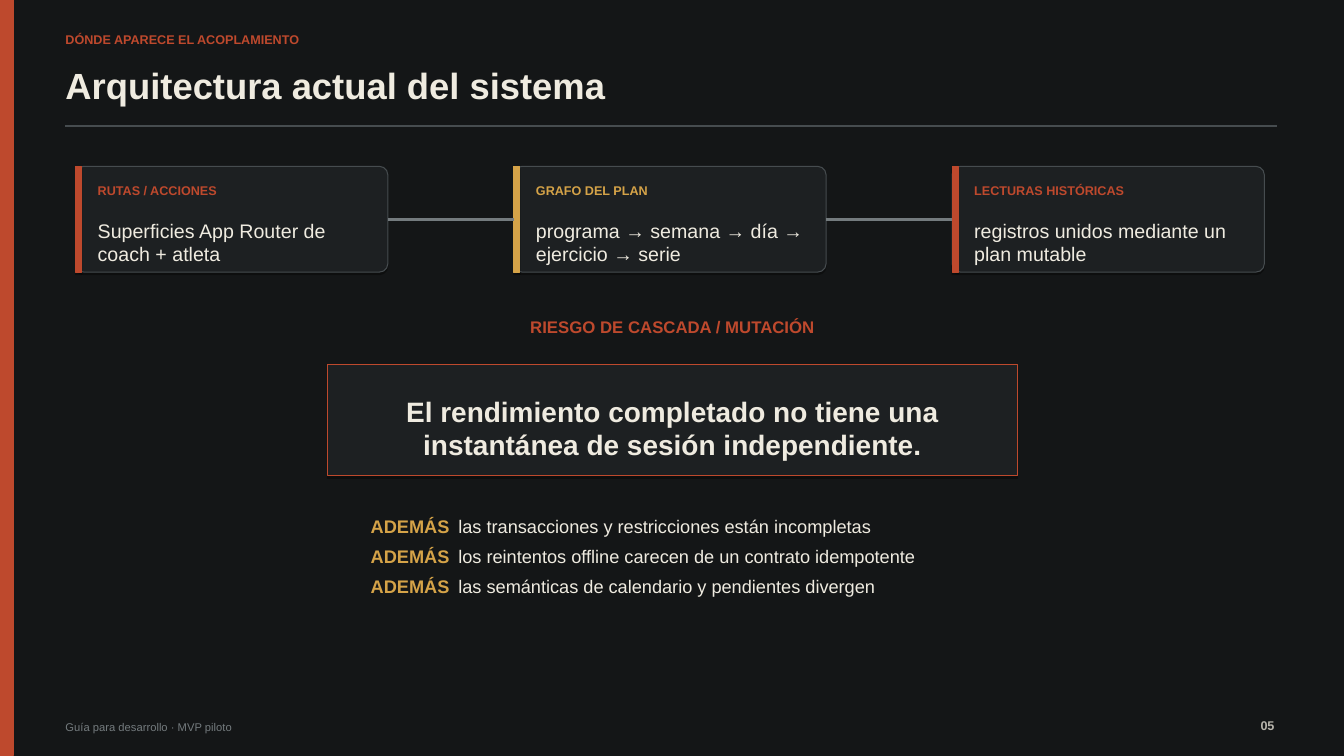
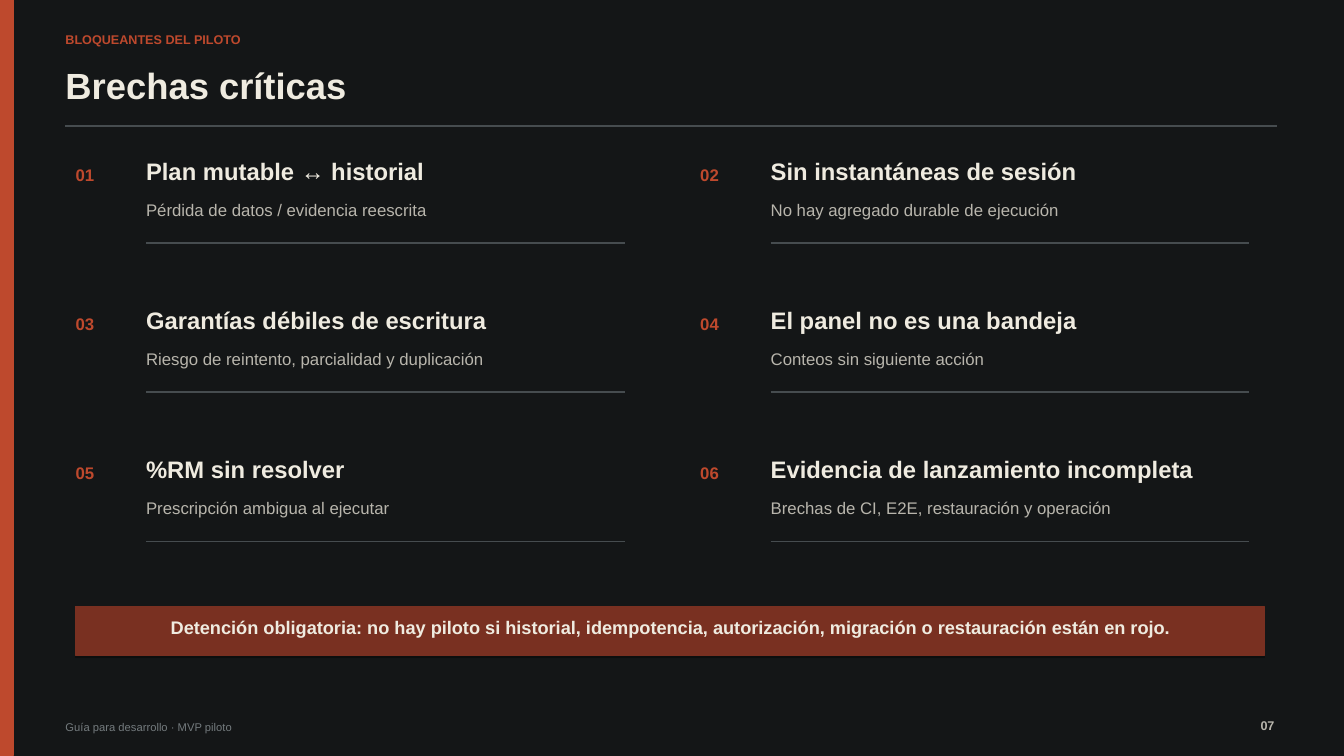
from dataclasses import dataclass

from pptx import Presentation
from pptx import util as u
from pptx.dml.color import RGBColor
from pptx.enum import shapes, text
from pptx.oxml import ns, xmlchemy as xml

FONT = "Arial"
HUES = {
    "back": "141617",
    "panel": "1D2022",
    "rust": "BE492D",
    "brick": "793021",
    "gold": "D5A348",
    "cream": "EFEBE0",
    "sand": "B8B5AC",
    "gray": "747B7E",
    "rule": "464C4F",
}
LEFT = text.PP_ALIGN.LEFT
MID = text.PP_ALIGN.CENTER
RIGHT = text.PP_ALIGN.RIGHT
RECT = shapes.MSO_SHAPE.RECTANGLE
ROUND = shapes.MSO_SHAPE.ROUNDED_RECTANGLE


@dataclass
class Card:
    label: str
    body: str
    hue: str


@dataclass
class Gap:
    title: str
    note: str


CARDS = [
    Card("RUTAS / ACCIONES", "Superficies App Router de coach + atleta", "rust"),
    Card("GRAFO DEL PLAN", "programa → semana → día → ejercicio → serie", "gold"),
    Card("LECTURAS HISTÓRICAS", "registros unidos mediante un plan mutable", "rust"),
]
EXTRAS = [
    "las transacciones y restricciones están incompletas",
    "los reintentos offline carecen de un contrato idempotente",
    "las semánticas de calendario y pendientes divergen",
]
GAPS = [
    Gap("Plan mutable ↔ historial", "Pérdida de datos / evidencia reescrita"),
    Gap("Sin instantáneas de sesión", "No hay agregado durable de ejecución"),
    Gap("Garantías débiles de escritura", "Riesgo de reintento, parcialidad y duplicación"),
    Gap("El panel no es una bandeja", "Conteos sin siguiente acción"),
    Gap("%RM sin resolver", "Prescripción ambigua al ejecutar"),
    Gap("Evidencia de lanzamiento incompleta", "Brechas de CI, E2E, restauración y operación"),
]


def color(name: str) -> RGBColor:
    return RGBColor.from_string(HUES[name])


def inches(*sizes: float) -> list[u.Length]:
    return [u.Inches(size) for size in sizes]


def style(run, size: float, hue: str, bold: bool) -> None:
    font = run.font
    font.name, font.size, font.bold = FONT, u.Pt(size), bold
    font.color.rgb = color(hue)


def fit(frame, side: float = 0, top: float = 0) -> None:
    """Wrap the text from the top, with the given insets."""
    frame.word_wrap = True
    frame.vertical_anchor = text.MSO_ANCHOR.TOP
    frame.margin_left = frame.margin_right = u.Inches(side)
    frame.margin_top, frame.margin_bottom = u.Inches(top), 0


def fill(frame, words: str, size: float, hue: str, bold: bool, align) -> None:
    """Set one styled paragraph."""
    frame.text = words
    para = frame.paragraphs[0]
    para.alignment = align
    style(para.runs[0], size, hue, bold)


def write(slide, words: str, x: float, y: float, w: float, h: float, size: float,
          hue: str = "cream", bold: bool = False, align=LEFT) -> None:
    frame = slide.shapes.add_textbox(*inches(x, y, w, h)).text_frame
    fit(frame)
    fill(frame, words, size, hue, bold, align)


def block(slide, x: float, y: float, w: float, h: float, hue: str,
          edge: str, kind=RECT):
    """Add a filled shape with a hard shadow just below it."""
    shape = slide.shapes.add_shape(kind, *inches(x, y, w, h))
    shape.fill.solid()
    shape.fill.fore_color.rgb = color(hue)
    shape.line.color.rgb = color(edge)
    shape.line.width = u.Pt(0.75)
    shape.shadow.inherit = False
    glow = xml.OxmlElement("a:outerShdw")
    glow.set("blurRad", "0")
    glow.set("dist", str(u.Pt(1.8)))
    glow.set("dir", "5400000")
    glow.set("rotWithShape", "0")
    tint = xml.OxmlElement("a:srgbClr")
    tint.set("val", "000000")
    alpha = xml.OxmlElement("a:alpha")
    alpha.set("val", "35000")
    tint.append(alpha)
    glow.append(tint)
    shape.element.spPr.find(ns.qn("a:effectLst")).append(glow)
    return shape


def line(slide, x: float, y: float, end: float, hue: str = "rule", width: float = 1):
    link = slide.shapes.add_connector(
        shapes.MSO_CONNECTOR.STRAIGHT, *inches(x, y, end, y))
    link.line.color.rgb = color(hue)
    link.line.width = u.Pt(width)
    link.element.spPr.append(xml.OxmlElement("a:effectLst"))
    return link


def start(deck, topic: str, title: str, page: str):
    """Add a slide with the shared band, heading and footer."""
    slide = deck.slides.add_slide(deck.slide_layouts[6])
    slide.background.fill.solid()
    slide.background.fill.fore_color.rgb = color("back")
    block(slide, 0, 0, 0.13, 7.5, "rust", "rust")
    write(slide, topic, 0.65, 0.32, 7.5, 0.15, 9, "rust", True)
    write(slide, title, 0.65, 0.63, 11.9, 0.43, 26, bold=True)
    line(slide, 0.65, 1.25, 12.68)
    write(slide, "Guía para desarrollo · MVP piloto", 0.65, 7.15, 3.5, 0.13, 8, "gray")
    write(slide, page, 12.1, 7.12, 0.55, 0.15, 9, "sand", True, RIGHT)
    return slide


def draw_card(slide, card: Card, x: float, y: float):
    panel = block(slide, x, y, 3.1, 1.05, "panel", "rule", ROUND)
    panel.adjustments[0] = 0.08
    block(slide, x, y, 0.06, 1.05, card.hue, card.hue)
    write(slide, card.label, x + 0.22, y + 0.16, 2.72, 0.15, 9, card.hue, True)
    write(slide, card.body, x + 0.22, y + 0.52, 2.7, 0.47, 14)
    return panel


def draw_gap(slide, gap: Gap, rank: int, x: float, y: float) -> None:
    write(slide, f"{rank:02}", x, y + 0.08, 0.55, 0.2, 12, "rust", True)
    write(slide, gap.title, x + 0.7, y, 4.8, 0.28, 17, bold=True)
    write(slide, gap.note, x + 0.7, y + 0.43, 4.8, 0.2, 12, "sand")
    line(slide, x + 0.7, y + 0.86, x + 5.45)


def list_extras(slide) -> None:
    frame = slide.shapes.add_textbox(*inches(3.65, 5.1, 6, 0.83)).text_frame
    fit(frame, 0.03)
    for rank, extra in enumerate(EXTRAS):
        para = frame.add_paragraph() if rank else frame.paragraphs[0]
        para.text = "ADEMÁS\t"
        para.line_spacing = 1.05
        para.space_after = u.Pt(5.1)
        stops = xml.OxmlElement("a:tabLst")
        stop = xml.OxmlElement("a:tab")
        stop.set("pos", str(u.Inches(0.87)))
        stop.set("algn", "l")
        stops.append(stop)
        para._p.get_or_add_pPr().append(stops)
        style(para.runs[0], 13, "gold", True)
        tail = para.add_run()
        tail.text = extra
        style(tail, 13, "cream", False)


def build_system(deck) -> None:
    slide = start(deck, "DÓNDE APARECE EL ACOPLAMIENTO",
                  "Arquitectura actual del sistema", "05")
    panels = [draw_card(slide, card, 0.75 + 4.35 * col, 1.65)
              for col, card in enumerate(CARDS)]
    for near, far in zip(panels, panels[1:]):
        link = line(slide, 3.85, 2.18, 5.1, "gray", 2)
        link.begin_connect(near, 3)
        link.end_connect(far, 1)
    write(slide, "RIESGO DE CASCADA / MUTACIÓN", 4.35, 3.14, 4.65, 0.2, 12,
          "rust", True, MID)
    risk = block(slide, 3.25, 3.62, 6.85, 1.1, "panel", "rust").text_frame
    fit(risk, 0.3, 0.29)
    fill(risk, "El rendimiento completado no tiene una instantánea de sesión "
         "independiente.", 20, "cream", True, MID)
    list_extras(slide)


def build_gaps(deck) -> None:
    slide = start(deck, "BLOQUEANTES DEL PILOTO", "Brechas críticas", "07")
    for place, gap in enumerate(GAPS):
        row, col = divmod(place, 2)
        draw_gap(slide, gap, place + 1, 0.75 + 6.2 * col, 1.55 + 1.48 * row)
    halt = block(slide, 0.75, 6.02, 11.8, 0.48, "brick", "brick").text_frame
    fit(halt, 0.2, 0.09)
    fill(halt, "Detención obligatoria: no hay piloto si historial, idempotencia, "
         "autorización, migración o restauración están en rojo.",
         13, "cream", True, MID)


def main() -> None:
    deck = Presentation()
    deck.slide_width, deck.slide_height = inches(13.34, 7.5)
    build_system(deck)
    build_gaps(deck)
    deck.save("out.pptx")


if __name__ == "__main__":
    main()
